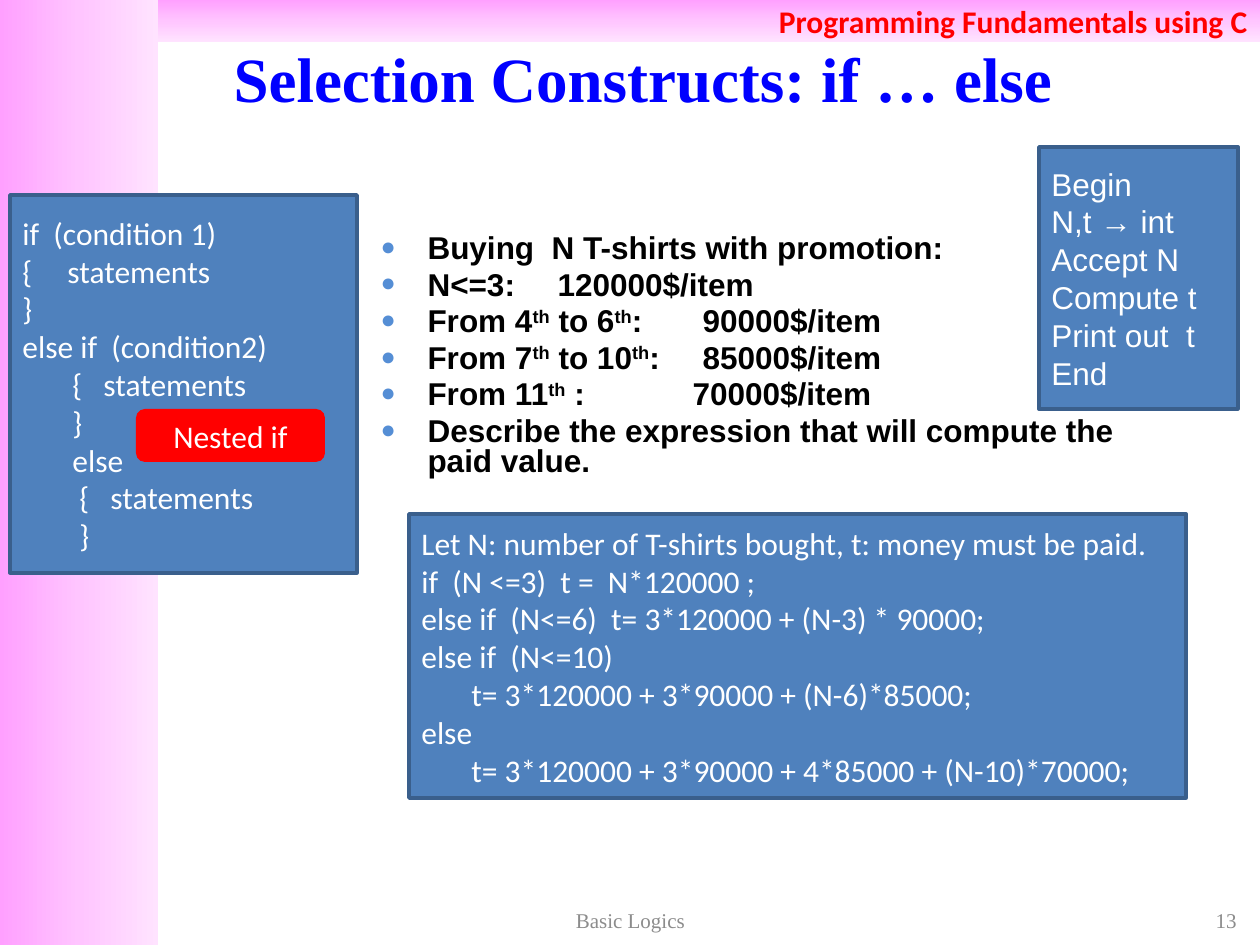
from copy import deepcopy

from lxml import etree
from pptx import Presentation
from pptx.dml.color import RGBColor
from pptx.enum.shapes import MSO_SHAPE
from pptx.enum.text import MSO_ANCHOR, MSO_AUTO_SIZE, PP_ALIGN
from pptx.oxml.ns import qn
from pptx.util import Emu, Pt

RECT, ROUNDED = MSO_SHAPE.RECTANGLE, MSO_SHAPE.ROUNDED_RECTANGLE
LEFT, CENTER, RIGHT = PP_ALIGN.LEFT, PP_ALIGN.CENTER, PP_ALIGN.RIGHT
TOP, MIDDLE = MSO_ANCHOR.TOP, MSO_ANCHOR.MIDDLE
NO_AUTOFIT = MSO_AUTO_SIZE.NONE
PX = 914400 / 126
COLORS = {
    "white": "FFFFFF", "black": "000000", "red": "FF0000", "title": "0000FF",
    "panel": "4F81BD", "border": "3A5F8C", "bullet": "558ED5", "footer": "8C8C8C",
}
BAND_STOPS = ("FFA0FF", "FFC5FF", "FFE3FF")


def px(length):
    return Emu(round(length * PX))


def rgb(name):
    return RGBColor.from_string(COLORS[name])


def add_xml(parent, tag, **attributes):
    return etree.SubElement(parent, qn(tag), attributes)


class SlideBuilder:
    def __init__(self, slide):
        self.slide = slide

    def place(self, shape, box):
        shape.left, shape.top, shape.width, shape.height = map(px, box)

    def set_text(self, shape, lines, color, font="Calibri", size=18, bold=False,
                 align=LEFT, anchor=MIDDLE, bullets=False):
        """Each line is text or (text, tab stops); ^ encloses superscripts."""
        frame = shape.text_frame
        frame.word_wrap = True
        frame.auto_size = NO_AUTOFIT
        frame.vertical_anchor = anchor
        for index, line in enumerate(lines):
            text, *stops = (line,) if isinstance(line, str) else line
            paragraph = frame.add_paragraph() if index else frame.paragraphs[0]
            paragraph.alignment = align
            props = paragraph._p.get_or_add_pPr()
            if bullets:
                paragraph.line_spacing = 0.8
                self.bullet(props)
            if stops:
                tabs = add_xml(props, "a:tabLst")
                for stop in stops:
                    add_xml(tabs, "a:tab", pos=str(px(stop)), algn="l")
            paragraph.font.name = font
            paragraph.font.size = Pt(size)
            paragraph.font.bold = bold
            paragraph.font.color.rgb = rgb(color)
            for part, piece in enumerate(text.split("^")):
                run = paragraph.add_run()
                run.text = piece
                if part % 2:
                    run.font._element.set("baseline", "30000")

    def bullet(self, props):
        props.set("marL", str(px(47)))
        props.set("indent", str(px(-47)))
        add_xml(add_xml(props, "a:buClr"), "a:srgbClr", val=COLORS["bullet"])
        add_xml(props, "a:buSzPct", val="80000")
        add_xml(props, "a:buFont", typeface="Arial")
        add_xml(props, "a:buChar", char="●")

    def placeholder(self, index, box, lines, color, **style):
        shape = self.slide.placeholders[index]
        self.place(shape, box)
        self.set_text(shape, lines, color, **style)

    def shape(self, box, kind=RECT):
        shape = self.slide.shapes.add_shape(kind, *map(px, box))
        shape.shadow.inherit = False
        shape.line.fill.background()
        return shape

    def band(self, box, angle):
        band = self.shape(box)
        band.fill.gradient()
        band.fill.gradient_angle = angle
        stops = band._element.spPr.find(qn("a:gradFill")).find(qn("a:gsLst"))
        stops.insert(1, deepcopy(stops[0]))
        for index, stop in enumerate(band.fill.gradient_stops):
            stop.color.rgb = RGBColor.from_string(BAND_STOPS[index])
            stop.position = index / 2
        # Bands lie behind the placeholders
        self.slide.shapes._spTree.insert(2, band._element)
        return band

    def panel(self, box, lines, fill="panel", border="border", kind=RECT, **style):
        panel = self.shape(box, kind)
        panel.fill.solid()
        panel.fill.fore_color.rgb = rgb(fill)
        if border:
            panel.line.color.rgb = rgb(border)
            panel.line.width = Pt(2)
        self.set_text(panel, lines, "white", **style)

    def label(self, box, text, align):
        label = self.slide.shapes.add_textbox(*map(px, box))
        self.set_text(label, [text], "footer", font="Times New Roman", size=12, align=align)


deck = Presentation()
deck.slide_width, deck.slide_height = px(1260), px(945)
page = SlideBuilder(deck.slides.add_slide(deck.slide_layouts[1]))

# Course bands
course = page.band((158, 0, 1102, 42), 270)
page.set_text(course, ["Programming Fundamentals using C"], "red", bold=True, align=RIGHT)
page.band((0, 0, 158, 945), 0)

# Title
page.placeholder(0, (105, 38, 1092, 78), ["Selection Constructs: if … else "], "title",
                 font="Times New Roman", size=36, bold=True, align=CENTER)

# Nested if syntax
page.panel((10, 195, 347, 378), [
    "if  (condition 1)",
    ("{\tstatements", 45),
    "}",
    "else if  (condition2)",
    ("\t{\tstatements", 50, 81),
    ("\t}", 50),
    ("\telse", 50),
    ("\t{\tstatements", 57, 88),
    ("\t}", 57),
])
page.panel((136, 409, 189, 53), ["Nested if"], fill="red", border=None,
           kind=ROUNDED, align=CENTER)

# Promotion problem
page.placeholder(1, (368, 229, 819, 265), [
    "Buying  N T-shirts with promotion:",
    ("N<=3:\t120000$/item", 177),
    ("From 4^th^ to 6^th^:\t90000$/item", 322),
    ("From 7^th^ to 10^th^:\t85000$/item", 322),
    ("From 11^th^ :\t70000$/item", 312),
    "Describe the expression that will compute the paid value.",
], "black", font="Arial", bold=True, anchor=TOP, bullets=True)

# Solution
page.panel((409, 514, 777, 284), [
    "Let N: number of T-shirts bought, t: money must be paid.",
    "if  (N <=3)  t =  N*120000 ;",
    "else if  (N<=6)  t= 3*120000 + (N-3) * 90000;",
    "else if  (N<=10)",
    ("\tt= 3*120000 + 3*90000 + (N-6)*85000;", 50),
    "else",
    ("\tt= 3*120000 + 3*90000 + 4*85000 + (N-10)*70000;", 50),
])

# Algorithm
page.panel((1039, 147, 199, 262), [
    "Begin", "N,t → int", "Accept N", "Compute t", "Print out  t", "End",
], font="Arial")

# Footer
page.label((955, 903, 294, 34), "13", RIGHT)
page.label((431, 903, 399, 34), "Basic Logics", CENTER)

deck.save("out.pptx")
